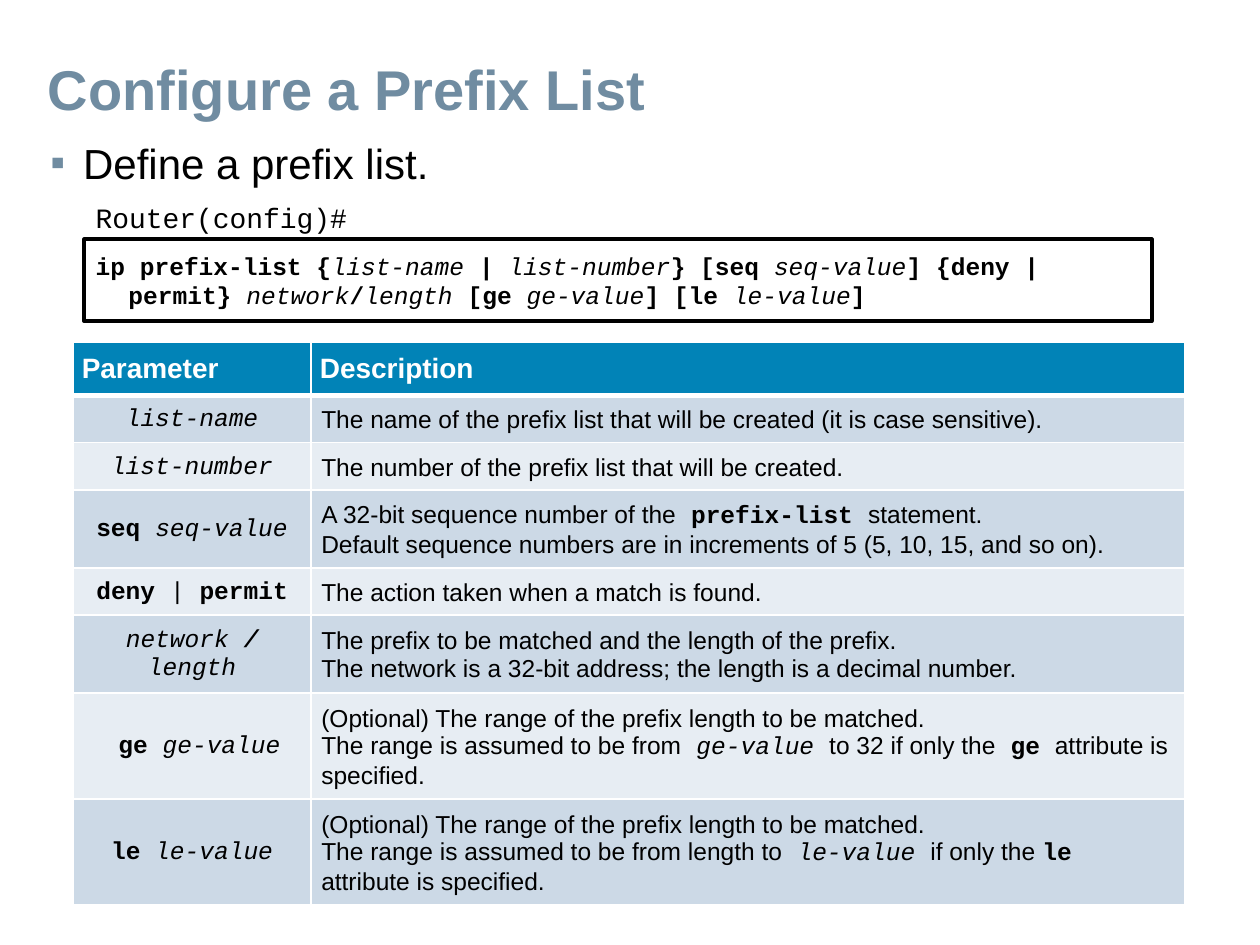
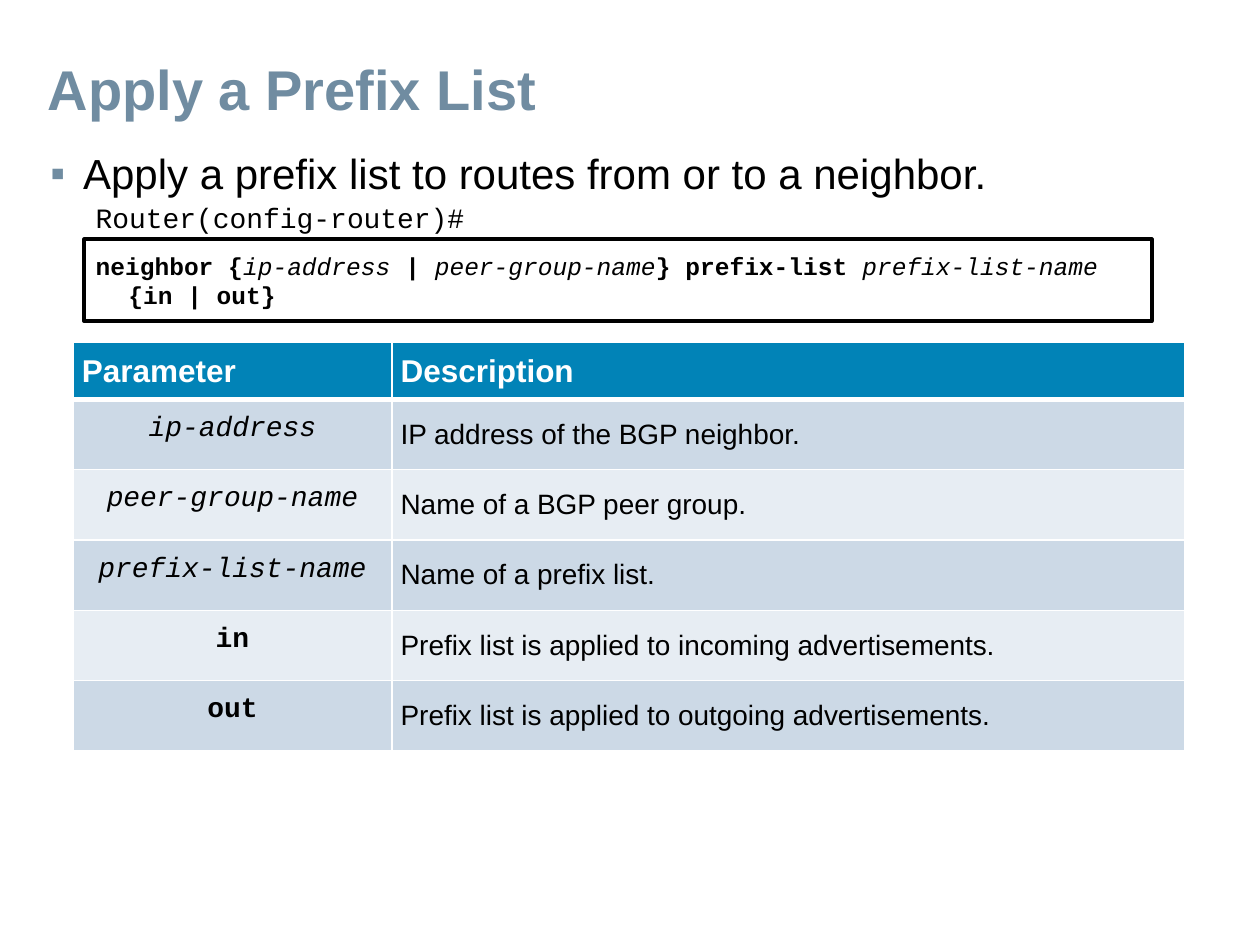
from dataclasses import dataclass
from functools import partial

from lxml.etree import SubElement
from pptx import Presentation
from pptx.dml.color import RGBColor
from pptx.enum.shapes import MSO_SHAPE as Preset
from pptx.enum.text import MSO_ANCHOR as Anchor, PP_ALIGN as Align
from pptx.oxml.ns import qn
from pptx.util import Emu, Inches, Pt

COLORS = {
    "title": "708CA1",
    "ink": "000000",
    "white": "FFFFFF",
    "header": "0183B7",
    "odd": "CCD9E6",
    "even": "E7EDF3",
}
SANS, MONO = "Arial", "Courier New"

# The page is a grid of 100 columns by 75 rows
PAGE_WIDTH, PAGE_HEIGHT = Inches(10), Inches(7.5)
COLUMN, ROW = PAGE_WIDTH // 100, PAGE_HEIGHT // 75
HANGING = 2.6


@dataclass(frozen=True)
class Area:
    left: float
    top: float
    width: float
    height: float

    def emu(self) -> tuple:
        return (Emu(int(self.left * COLUMN)), Emu(int(self.top * ROW)),
                Emu(int(self.width * COLUMN)), Emu(int(self.height * ROW)))


@dataclass(frozen=True)
class Margins:
    left: float
    top: float
    right: float
    bottom: float


@dataclass(frozen=True)
class Span:
    text: str
    font: str = SANS
    bold: bool = False
    italic: bool = False


code = partial(Span, font=MONO)
word = partial(Span, font=MONO, bold=True)
value = partial(Span, font=MONO, italic=True)
mark = partial(Span, font=MONO, bold=True, italic=True)


@dataclass(frozen=True)
class Entry:
    parameter: list[Span]
    description: list[list[Span]]
    height: float


@dataclass(frozen=True)
class ParameterTable:
    columns: tuple[float, float]
    header_height: float
    header_size: int
    body_size: int
    margins: Margins
    tight_names: bool
    entries: list[Entry]


@dataclass(frozen=True)
class CommandPage:
    title: str
    goal: str
    goal_top: float
    prompt: str
    command: list[Span]
    table: ParameterTable


TITLE_AREA = Area(2.9, 4, 93.3, 6.8)
PROMPT_AREA = Area(6.7, 15.2, 84.7, 4.1)
COMMAND_AREA = Area(6.7, 19, 84.7, 6.5)
TITLE_MARGINS = Margins(0.9, 0.3, 0.9, 0.4)
BODY_MARGINS = Margins(0.9, 0.4, 0.9, 0.4)
FLAT_MARGINS = Margins(0.7, 0, 0.7, 0)
PADDED_MARGINS = Margins(0.8, 0.8, 0.8, 0.6)


def rgb(name: str) -> RGBColor:
    return RGBColor.from_string(COLORS[name])


def set_margins(target, margins: Margins) -> None:
    target.margin_left = Emu(int(margins.left * COLUMN))
    target.margin_top = Emu(int(margins.top * ROW))
    target.margin_right = Emu(int(margins.right * COLUMN))
    target.margin_bottom = Emu(int(margins.bottom * ROW))


def add_spans(para, spans: list[Span], size: int, color: str) -> None:
    for span in spans:
        run = para.add_run()
        run.text = span.text
        font = run.font
        font.name, font.size = span.font, Pt(size)
        font.bold, font.italic = span.bold, span.italic
        font.color.rgb = rgb(color)


def set_frame(box, margins: Margins, anchor):
    frame = box.text_frame
    frame.word_wrap = True
    frame.vertical_anchor = anchor
    set_margins(frame, margins)
    para = frame.paragraphs[0]
    para.alignment = Align.LEFT
    return para


def set_hanging(para, bullet: str = "") -> None:
    para.space_after = Pt(6)
    indent = int(HANGING * COLUMN)
    properties = para._p.get_or_add_pPr()
    properties.set("marL", str(indent))
    properties.set("indent", str(-indent))
    if bullet:
        color = SubElement(properties, qn("a:buClr"))
        SubElement(color, qn("a:srgbClr"), val=COLORS["title"])
        SubElement(properties, qn("a:buFont"), typeface=SANS)
        SubElement(properties, qn("a:buChar"), char=bullet)


def add_body(page, area: Area, spans: list[Span], size: int,
             bullet: str = "", framed: bool = False) -> None:
    if framed:
        box = page.shapes.add_shape(Preset.RECTANGLE, *area.emu())
        box.shadow.inherit = False
        box.fill.background()
        box.line.color.rgb = rgb("ink")
        box.line.width = Pt(2.25)
    else:
        box = page.shapes.add_textbox(*area.emu())
    para = set_frame(box, BODY_MARGINS, Anchor.MIDDLE)
    set_hanging(para, bullet)
    add_spans(para, spans, size, "ink")


def style_cell(cell, fill: str, margins: Margins,
               top: float = 1, bottom: float = 1) -> None:
    properties = cell._tc.get_or_add_tcPr()
    for side, points in (("L", 1), ("R", 1), ("T", top), ("B", bottom)):
        line = SubElement(properties, qn(f"a:ln{side}"), w=str(int(Pt(points))))
        paint = SubElement(line, qn("a:solidFill"))
        SubElement(paint, qn("a:srgbClr"), val=COLORS["white"])
    cell.fill.solid()
    cell.fill.fore_color.rgb = rgb(fill)
    cell.vertical_anchor = Anchor.MIDDLE
    set_margins(cell, margins)


def add_parameter_table(page, layout: ParameterTable) -> None:
    heights = [layout.header_height] + [entry.height for entry in layout.entries]
    area = Area(5.8, 27.2, sum(layout.columns), sum(heights))
    table = page.shapes.add_table(len(heights), 2, *area.emu()).table
    for column, width in zip(table.columns, layout.columns):
        column.width = Emu(int(width * COLUMN))
    for row, height in zip(table.rows, heights):
        row.height = Emu(int(height * ROW))

    # Header row
    for index, heading in enumerate(("Parameter", "Description")):
        cell = table.cell(0, index)
        style_cell(cell, "header", FLAT_MARGINS, bottom=3)
        add_spans(cell.text_frame.paragraphs[0], [Span(heading, bold=True)],
                  layout.header_size, "white")

    # Parameter rows
    for number, entry in enumerate(layout.entries, start=1):
        name, description = table.cell(number, 0), table.cell(number, 1)
        for cell in (name, description):
            style_cell(cell, "odd" if number % 2 else "even", layout.margins,
                       top=3 if number == 1 else 1)
        para = name.text_frame.paragraphs[0]
        para.alignment = Align.CENTER
        if layout.tight_names:
            para.line_spacing, para.space_after = Pt(12), Pt(6)
        add_spans(para, entry.parameter, layout.body_size, "ink")
        frame = description.text_frame
        for index, spans in enumerate(entry.description):
            para = frame.add_paragraph() if index else frame.paragraphs[0]
            add_spans(para, spans, layout.body_size, "ink")


def add_command_page(deck, content: CommandPage) -> None:
    page = deck.slides.add_slide(deck.slide_layouts[6])
    title = page.shapes.add_textbox(*TITLE_AREA.emu())
    para = set_frame(title, TITLE_MARGINS, Anchor.TOP)
    add_spans(para, [Span(content.title, bold=True)], 32, "title")
    add_body(page, Area(3.1, content.goal_top, 91, 5.4),
             [Span(content.goal)], 24, bullet="▪")
    add_body(page, PROMPT_AREA, [code(content.prompt)], 16)
    add_body(page, COMMAND_AREA, content.command, 14, framed=True)
    add_parameter_table(page, content.table)


OPTIONAL = [Span("(Optional) The range of the prefix length to be matched.")]

CONFIGURE = CommandPage(
    "Configure a Prefix List", "Define a prefix list.", 10.2, "Router(config)#",
    [word("ip prefix-list {"), value("list-name "), word("| "),
     value("list-number"), word("} [seq "), value("seq-value"),
     word("] {deny | permit}"), value(" network"), word("/"), value("length "),
     word("[ge "), value("ge-value"), word("] [le "), value("le-value"), word("]")],
    ParameterTable((18.9, 69.3), 4.2, 16, 14, PADDED_MARGINS, False, [
        Entry([value("list-name")],
              [[Span("The name of the prefix list that will be created "
                     "(it is case sensitive).")]], 3.3),
        Entry([value("list-number")],
              [[Span("The number of the prefix list that will be created.")]], 3.3),
        Entry([word("seq "), value("seq-value")],
              [[Span("A 32-bit sequence number of the"), word(" prefix-list "),
                Span("statement.")],
               [Span("Default sequence numbers are in increments of 5 "
                     "(5, 10, 15, and so on).")]], 6.2),
        Entry([word("deny "), value("| "), word("permit")],
              [[Span("The action taken when a match is found.")]], 3.3),
        Entry([value("network "), mark("/ "), value("length")],
              [[Span("The prefix to be matched and the length of the prefix.")],
               [Span("The network is a 32-bit address; "
                     "the length is a decimal number.")]], 6.2),
        Entry([value(" "), word("ge "), value("ge-value")],
              [OPTIONAL,
               [Span("The range is assumed to be from"), value(" ge-value "),
                Span("to 32 if only the"), word(" ge "),
                Span("attribute is specified.")]], 8.3),
        Entry([word("le"), value(" le-value")],
              [OPTIONAL,
               [Span("The range is assumed to be from length to"),
                value(" le-value "), Span("if only the "), word("le "),
                Span("attribute is specified.")]], 8.3),
    ]),
)

NEIGHBOR_PARAMETERS = [
    (value("ip-address"), "IP address of the BGP neighbor."),
    (value("peer-group-name"), "Name of a BGP peer group."),
    (value("prefix-list-name"), "Name of a prefix list."),
    (word("in"), "Prefix list is applied to incoming advertisements."),
    (word("out"), "Prefix list is applied to outgoing advertisements."),
]

APPLY = CommandPage(
    "Apply a Prefix List", "Apply a prefix list to routes from or to a neighbor.",
    11, "Router(config-router)#",
    [word("neighbor {"), value("ip-address"), mark(" | "),
     value("peer-group-name"), word("} prefix-list "),
     value("prefix-list-name "), word("{in | out}")],
    ParameterTable((25.3, 62.9), 4.5, 18, 16, FLAT_MARGINS, True, [
        Entry([name], [[Span(meaning)]], 5.58)
        for name, meaning in NEIGHBOR_PARAMETERS
    ]),
)


def main() -> None:
    deck = Presentation()
    deck.slide_width, deck.slide_height = PAGE_WIDTH, PAGE_HEIGHT
    for content in (CONFIGURE, APPLY):
        add_command_page(deck, content)
    deck.save("out.pptx")


if __name__ == "__main__":
    main()
